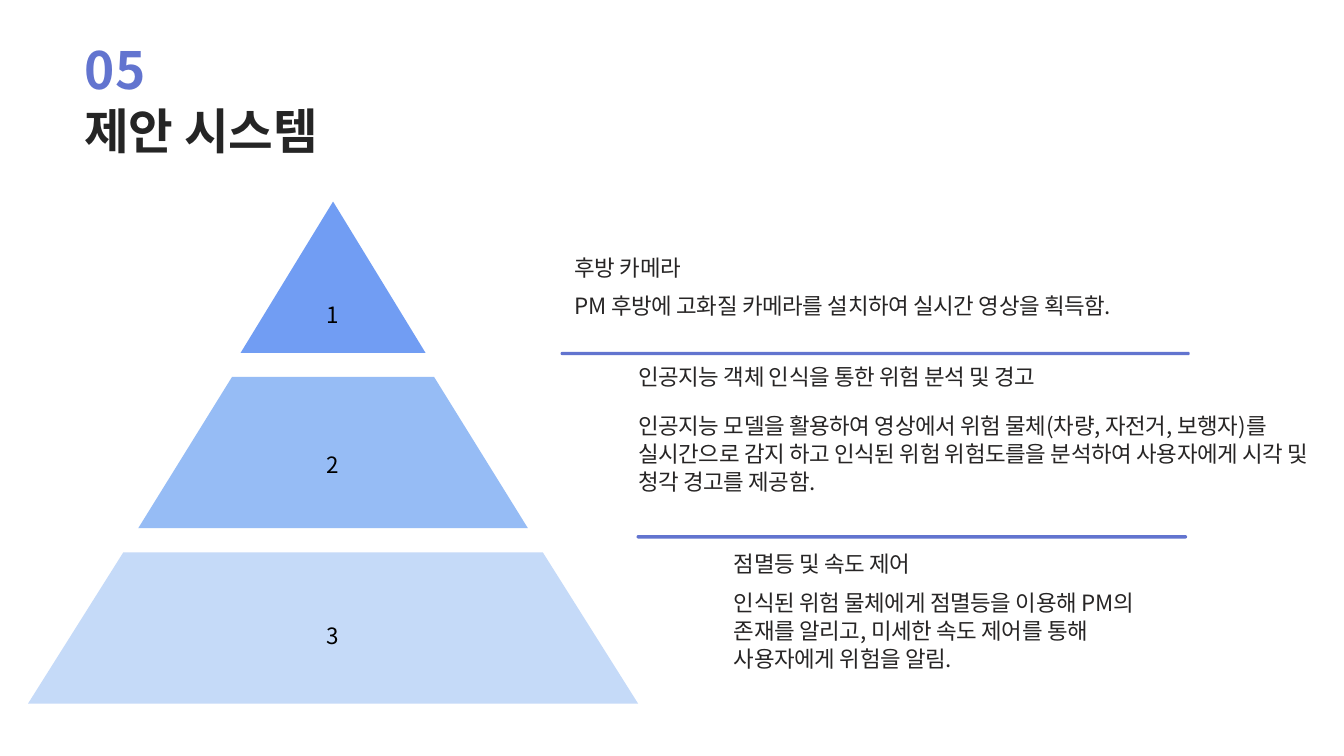
from dataclasses import dataclass

from lxml.etree import SubElement
from pptx import Presentation
from pptx.dml.color import RGBColor
from pptx.enum.shapes import MSO_SHAPE as Shape
from pptx.enum.text import MSO_ANCHOR as Anchor, MSO_AUTO_SIZE as AutoSize, PP_ALIGN as Align
from pptx.oxml.ns import qn
from pptx.util import Cm, Pt


@dataclass(frozen=True)
class Theme:
    font: str = "Noto Sans CJK KR"
    accent: str = "6274CF"
    title: str = "252525"
    body: str = "272525"
    label: str = "000000"
    rule_fill: str = "D6BADD"
    tiers: tuple = ("719DF3", "96BCF5", "C5DAF8")
    number_size: float = 55
    title_size: float = 52
    body_size: float = 24


theme = Theme()


def write(frame, text, *, size=theme.body_size, color=theme.body, bold=False,
          align=Align.LEFT, leading=None, tracking=None):
    """Put one formatted paragraph in a text frame; leading and tracking are in points."""
    para = frame.paragraphs[0]
    para.alignment = align
    if leading:
        para.line_spacing = Pt(leading)
    span = para.add_run()
    span.text = text
    font = span.font
    font.name, font.size, font.bold = theme.font, Pt(size), bold
    font.color.rgb = RGBColor.from_string(color)
    props = para.runs[0].font._element
    SubElement(props, qn("a:ea")).set("typeface", theme.font)
    if tracking:
        props.set("spc", str(round(tracking * 100)))


def add_text(left, top, width, height, text, *, wrap=True, grow=False, **style):
    box = page.shapes.add_textbox(Cm(left), Cm(top), Cm(width), Cm(height))
    frame = box.text_frame
    frame.margin_left = frame.margin_right = frame.margin_top = frame.margin_bottom = 0
    frame.word_wrap = wrap
    frame.auto_size = AutoSize.SHAPE_TO_FIT_TEXT if grow else AutoSize.NONE
    write(frame, text, **style)


deck = Presentation()
deck.slide_width, deck.slide_height = Cm(50.8), Cm(28.58)
page = deck.slides.add_slide(deck.slide_layouts[6])

# Heading
add_text(3.18, -0.1, 3.89, 3.48, "05", grow=True, size=theme.number_size,
         color=theme.accent, bold=True, leading=110, tracking=1.3)
add_text(3.18, 2.36, 14.73, 3.3, "제안 시스템", grow=True, size=theme.title_size,
         color=theme.title, bold=True, leading=104)

# Pyramid: equal tiers on one centre line
center, first_top, tier_height, pitch = 12.59, 7.62, 5.72, 6.63
tiers = [(Shape.ISOSCELES_TRIANGLE, 6.99, 0.5),
         (Shape.TRAPEZOID, 14.73, 0.62),
         (Shape.TRAPEZOID, 23.06, 0.63)]
for index, (kind, width, slant) in enumerate(tiers):
    tier = page.shapes.add_shape(kind, Cm(center - width / 2), Cm(first_top + index * pitch),
                                 Cm(width), Cm(tier_height))
    tier.adjustments[0] = slant
    tier.shadow.inherit = False
    tier.fill.solid()
    tier.fill.fore_color.rgb = RGBColor.from_string(theme.tiers[index])
    tier.line.fill.background()
    tier.text_frame.vertical_anchor = Anchor.MIDDLE
    write(tier.text_frame, str(index + 1), color=theme.label, align=Align.CENTER)

# Explanations: left, heading top, heading, then text top, width, height, wrap, text
steps = [
    (21.72, 9.65, "후방 카메라", 11.02, 16.79, 1.07, False,
     "PM 후방에 고화질 카메라를 설치하여 실시간 영상을 획득함."),
    (24.12, 13.79, "인공지능 객체 인식을 통한 위험 분석 및 경고", 15.54, 26.54, 2.13, True,
     "인공지능 모델을 활용하여 영상에서 위험 물체(차량, 자전거, 보행자)를 실시간으로 감지 하고 "
     "인식된 위험 위험도를을 분석하여 사용자에게 시각 및 청각 경고를 제공함."),
    (27.74, 20.85, "점멸등 및 속도 제어", 22.23, 16.76, 3.38, True,
     "인식된 위험 물체에게 점멸등을 이용해 PM의 존재를 알리고, 미세한 속도 제어를 통해 "
     "사용자에게 위험을 알림."),
]
for left, heading_top, heading, top, width, height, wrap, text in steps:
    add_text(left, heading_top, 7.82, 0.97, heading, wrap=False, leading=27.5, tracking=-0.4)
    add_text(left, top, width, height, text, wrap=wrap, leading=30, tracking=-0.4)

# Rules between the explanations
for left, top, width in [(21.23, 13.34, 23.7), (24.1, 20.27, 20.73)]:
    rule = page.shapes.add_shape(Shape.ROUNDED_RECTANGLE, Cm(left), Cm(top), Cm(width), Cm(0.05))
    rule.adjustments[0] = 0.5
    rule.shadow.inherit = False
    rule.fill.solid()
    rule.fill.fore_color.rgb = RGBColor.from_string(theme.rule_fill)
    rule.line.color.rgb = RGBColor.from_string(theme.accent)
    rule.line.width = Pt(2.25)

deck.save("out.pptx")
